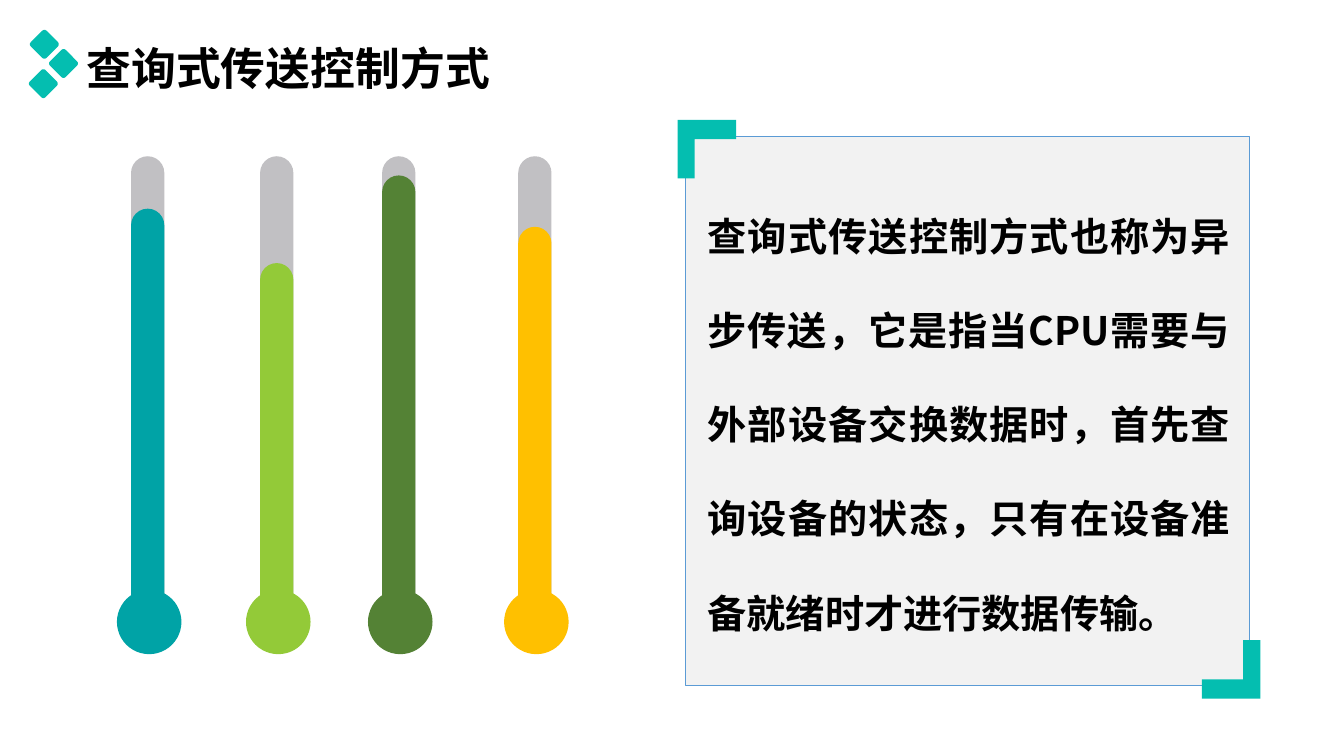
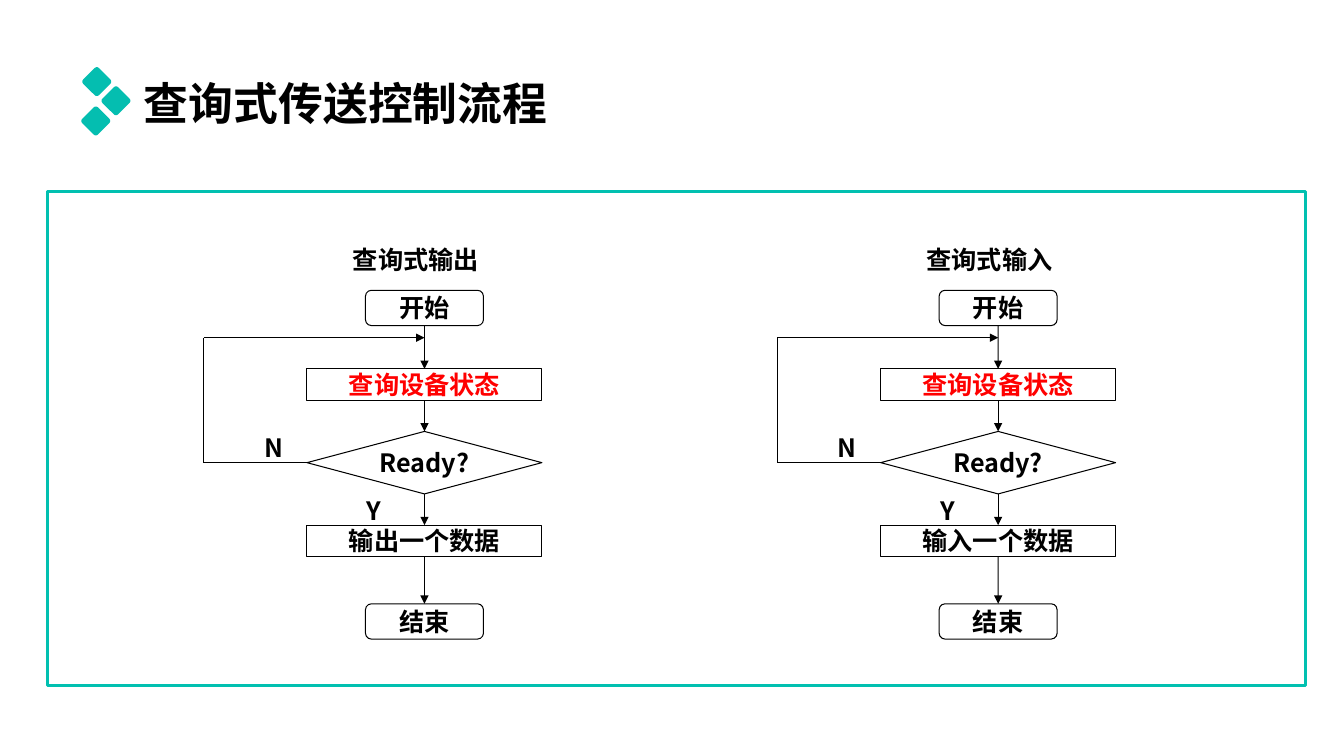
from lxml import etree
from pptx import Presentation
from pptx.dml.color import RGBColor
from pptx.enum import shapes, text
from pptx.oxml import ns
from pptx.util import Inches, Pt

FONT = "Noto Sans CJK SC"
BLACK = RGBColor(0x00, 0x00, 0x00)
WHITE = RGBColor(0xFF, 0xFF, 0xFF)
RED = RGBColor(0xFF, 0x00, 0x00)
MINT = RGBColor(0x04, 0xBE, 0xB0)
FRAME_MINT = RGBColor(0x01, 0xC0, 0xB0)
PANEL_GRAY = RGBColor(0xF2, 0xF2, 0xF2)
PANEL_BLUE = RGBColor(0x5B, 0x9B, 0xD5)
TUBE_GRAY = RGBColor(0xC1, 0xC0, 0xC3)
TEAL = RGBColor(0x00, 0xA3, 0xA6)
LIME = RGBColor(0x93, 0xCA, 0x38)
GREEN = RGBColor(0x54, 0x82, 0x35)
AMBER = RGBColor(0xFF, 0xC0, 0x00)
KIND = shapes.MSO_SHAPE
ALIGN = text.PP_ALIGN


def draw(slide, kind, box, fill=None, outline=None, weight=0.75):
    shape = slide.shapes.add_shape(kind, *map(Inches, box))
    shape.shadow.inherit = False
    if fill is None:
        shape.fill.background()
    else:
        shape.fill.solid()
        shape.fill.fore_color.rgb = fill
    if outline is None:
        shape.line.fill.background()
    else:
        shape.line.color.rgb = outline
        shape.line.width = Pt(weight)
    return shape


def write(shape, words, size, align=ALIGN.LEFT, color=BLACK, inset=(0.1, 0.05)):
    frame = shape.text_frame
    frame.word_wrap = True
    frame.margin_left = frame.margin_right = Inches(inset[0])
    frame.margin_top = frame.margin_bottom = Inches(inset[1])
    paragraph = frame.paragraphs[0]
    paragraph.alignment = align
    run = paragraph.add_run()
    run.text = words
    run.font.size = Pt(size)
    run.font.bold = True
    run.font.name = FONT
    run.font.color.rgb = color
    etree.SubElement(run.font._element, ns.qn("a:ea"), typeface=FONT)
    return paragraph


deck = Presentation()
deck.slide_width = Inches(13.33)
deck.slide_height = Inches(7.5)

headings = [
    ("查询式传送控制方式", 0.76, 0.36, 0.44, 0.44),
    ("查询式传送控制流程", 1.33, 0.70, 0.96, 0.81),
]
pages = []
for heading, left, top, mark_x, mark_y in headings:
    page = deck.slides.add_slide(deck.slide_layouts[6])
    pages.append(page)
    write(page.shapes.add_textbox(Inches(left), Inches(top), Inches(6.53), Inches(0.64)), heading, 32)
    for dx, dy in [(0, 0), (0.19, 0.19), (-0.01, 0.39)]:
        box = (mark_x + dx - 0.11, mark_y + dy - 0.11, 0.22, 0.22)
        diamond = draw(page, KIND.ROUNDED_RECTANGLE, box, MINT)
        diamond.adjustments[0] = 0.13
        diamond.rotation = 45

method, flow = pages

TUBE_TOP, TUBE_BOTTOM, TUBE_WIDTH = 1.55, 6.26, 0.33
for left, level, color in [(1.3, 2.07, TEAL), (2.58, 2.61, LIME), (3.79, 1.74, GREEN), (5.14, 2.25, AMBER)]:
    for top, fill in [(TUBE_TOP, TUBE_GRAY), (level, color)]:
        tube = draw(method, KIND.ROUNDED_RECTANGLE, (left, top, TUBE_WIDTH, TUBE_BOTTOM - top), fill)
        tube.adjustments[0] = 0.5
    draw(method, KIND.OVAL, (left - 0.14, 5.85, 0.64, 0.64), color)

draw(method, KIND.RECTANGLE, (6.8, 1.35, 5.59, 5.45), PANEL_GRAY, PANEL_BLUE)
definition = write(
    method.shapes.add_textbox(Inches(6.92), Inches(1.59), Inches(5.38), Inches(4.81)),
    "查询式传送控制方式也称为异步传送，它是指当CPU需要与外部设备交换数据时，"
    "首先查询设备的状态，只有在设备准备就绪时才进行数据传输。",
    28,
    ALIGN.JUSTIFY,
)
definition.line_spacing = 2.0

BRACKET = [(0, 0), (0.58, 0), (0.58, 0.19), (0.17, 0.19), (0.17, 0.58), (0, 0.58)]
for corner_x, corner_y, sign in [(6.72, 1.19, 1), (12.5, 6.93, -1)]:
    points = [(Inches(corner_x + sign * x), Inches(corner_y + sign * y)) for x, y in BRACKET]
    outline = method.shapes.build_freeform(*points[0])
    outline.add_line_segments(points[1:], close=True)
    bracket = outline.convert_to_shape()
    bracket.shadow.inherit = False
    bracket.fill.solid()
    bracket.fill.fore_color.rgb = MINT
    bracket.line.fill.background()

draw(flow, KIND.RECTANGLE, (0.47, 1.9, 12.48, 4.9), None, FRAME_MINT, 2.25)

for middle, caption, transfer in [
    (4.21, "查询式输出", "输出一个数据"),
    (9.9, "查询式输入", "输入一个数据"),
]:
    steps = []
    for words, kind, top, width, height, color in [
        ("开始", KIND.FLOWCHART_ALTERNATE_PROCESS, 2.88, 1.17, 0.35, BLACK),
        ("查询设备状态", KIND.FLOWCHART_PROCESS, 3.66, 2.33, 0.31, RED),
        ("Ready?", KIND.FLOWCHART_DECISION, 4.28, 2.33, 0.62, BLACK),
        (transfer, KIND.FLOWCHART_PROCESS, 5.21, 2.33, 0.31, BLACK),
        ("结束", KIND.FLOWCHART_ALTERNATE_PROCESS, 5.99, 1.17, 0.35, BLACK),
    ]:
        step = draw(flow, kind, (middle - width / 2, top, width, height), WHITE, BLACK)
        step.text_frame.vertical_anchor = text.MSO_ANCHOR.MIDDLE
        write(step, words, 18, ALIGN.CENTER, color, (0.02, 0))
        steps.append(step)

    for words, dx, top, width in [(caption, -0.73, 2.41, 1.6), ("N", -1.61, 4.28, 0.44), ("Y", -0.59, 4.9, 0.44)]:
        label = flow.shapes.add_textbox(Inches(middle + dx), Inches(top), Inches(width), Inches(0.31))
        write(label, words, 18, ALIGN.JUSTIFY, BLACK, (0.02, 0.01))

    ready = steps[2]
    back = middle - 2.19
    routes = [((middle, 0, middle, 0), (upper, 2), (lower, 0), True) for upper, lower in zip(steps, steps[1:])]
    routes += [
        ((back, 4.59, back, 4.59), (ready, 1), None, False),
        ((back, 4.59, back, 3.35), None, None, False),
        ((back, 3.35, middle, 3.35), None, None, True),
    ]
    for ends, source, target, arrow in routes:
        wire = flow.shapes.add_connector(shapes.MSO_CONNECTOR.STRAIGHT, *map(Inches, ends))
        if source:
            wire.begin_connect(*source)
        if target:
            wire.end_connect(*target)
        wire.line.color.rgb = BLACK
        wire.line.width = Pt(0.75)
        if arrow:
            etree.SubElement(wire.line._get_or_add_ln(), ns.qn("a:tailEnd"), type="triangle")
        etree.SubElement(wire._element.spPr, ns.qn("a:effectLst"))

deck.save("out.pptx")
